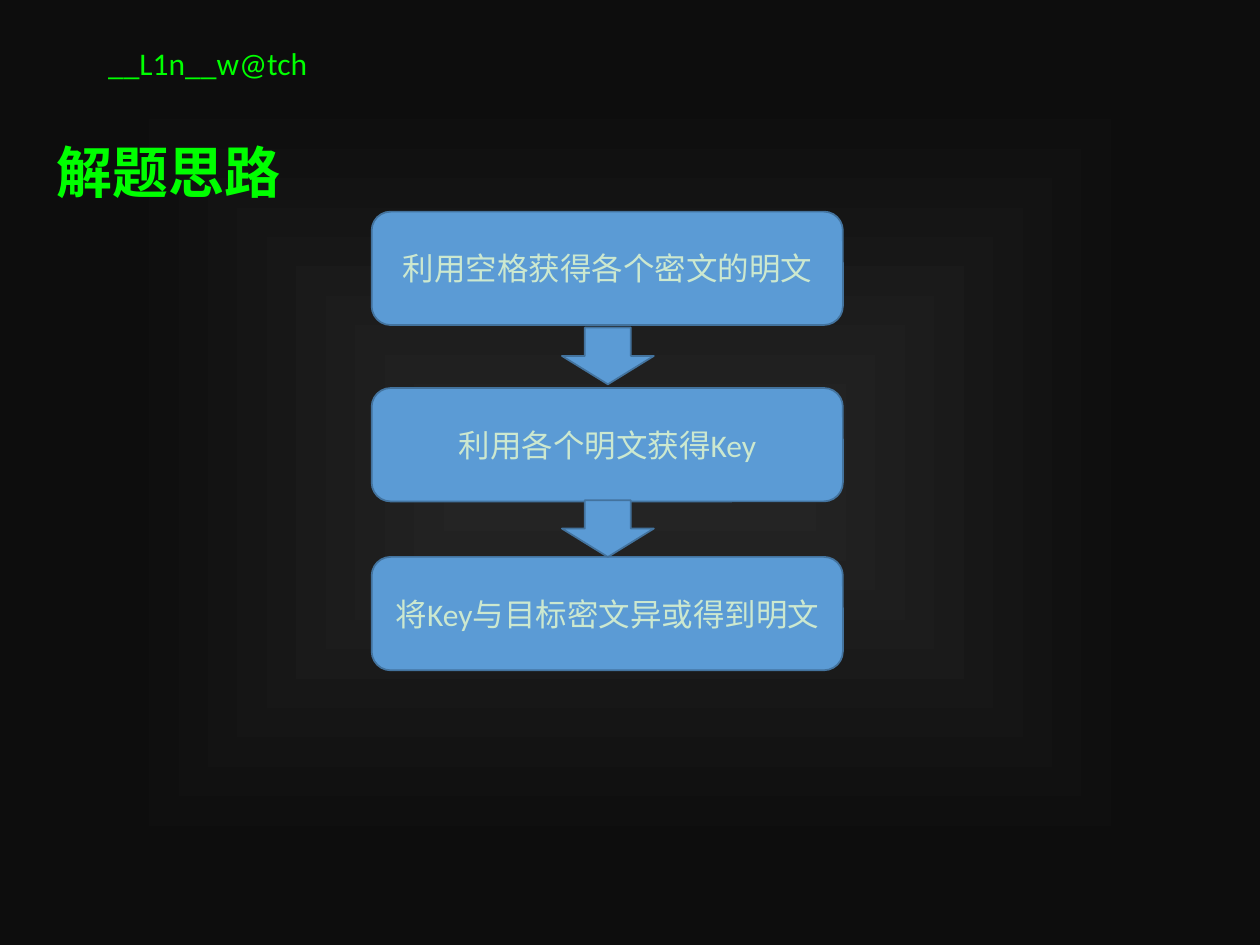
from dataclasses import dataclass

from lxml import etree
from pptx import Presentation, slide as s, util as u
from pptx.dml.color import RGBColor
from pptx.enum import shapes, text
from pptx.oxml.ns import qn

GREEN = RGBColor(0x00, 0xFF, 0x00)
MINT = RGBColor(0xCC, 0xE8, 0xCF)
BLUE = RGBColor(0x5B, 0x9B, 0xD5)
EDGE = RGBColor(0x43, 0x73, 0x9E)
CHARCOAL = RGBColor(0x26, 0x26, 0x26)
NEAR_BLACK = RGBColor(0x0D, 0x0D, 0x0D)

CELL = 0.1  # inches; the slide is 100 columns by 75 rows
COLUMNS, ROWS = 100, 75


def cells(count):
    return u.Inches(round(count * CELL, 2))


@dataclass
class Board:
    """Holds the flow-chart style and the slide being drawn."""
    page: s.Slide
    body_font: str = "Calibri"
    title_font: str = "Arial"
    body_size: int = 18
    title_size: int = 32

    def backdrop(self, centre, rim, rim_at):
        """Fill the background with a gradient spreading from the centre."""
        fill = self.page.background.fill
        fill.gradient()
        for stop, color, position in zip(fill.gradient_stops, (centre, rim), (0, rim_at)):
            stop.color.rgb = color
            stop.position = position
        gradient = self.page.element.find(".//" + qn("a:gradFill"))
        gradient.remove(gradient.find(qn("a:lin")))
        spread = etree.Element(qn("a:path"), {"path": "shape"})
        etree.SubElement(spread, qn("a:fillToRect"),
                         {side: "50000" for side in "ltrb"})
        gradient.find(qn("a:gsLst")).addnext(spread)

    def add_words(self, para, words, font, size, color, bold=False):
        span = para.add_run()
        span.text = words
        span.font.name = font
        span.font.size = u.Pt(size)
        span.font.bold = bold
        span.font.color.rgb = color

    def label(self, words, area, font, size, bold=False):
        box = self.page.shapes.add_textbox(*map(cells, area))
        frame = box.text_frame
        frame.word_wrap = False
        frame.auto_size = text.MSO_AUTO_SIZE.SHAPE_TO_FIT_TEXT
        self.add_words(frame.paragraphs[0], words, font, size, GREEN, bold)

    def block(self, kind, area):
        shape = self.page.shapes.add_shape(kind, *map(cells, area))
        shape.shadow.inherit = False
        shape.fill.solid()
        shape.fill.fore_color.rgb = BLUE
        shape.line.color.rgb = EDGE
        shape.line.width = u.Pt(1)
        return shape

    def step(self, words, area):
        frame = self.block(shapes.MSO_SHAPE.ROUNDED_RECTANGLE, area).text_frame
        frame.word_wrap = True
        frame.vertical_anchor = text.MSO_ANCHOR.MIDDLE
        para = frame.paragraphs[0]
        para.alignment = text.PP_ALIGN.CENTER
        self.add_words(para, words, self.body_font, self.body_size, MINT)

    def arrow(self, area):
        self.block(shapes.MSO_SHAPE.DOWN_ARROW, area)


def main():
    deck = Presentation()
    deck.slide_width, deck.slide_height = cells(COLUMNS), cells(ROWS)
    board = Board(deck.slides.add_slide(deck.slide_layouts[6]))
    board.backdrop(CHARCOAL, NEAR_BLACK, 0.81)

    board.label("__L1n__w@tch", (7.6, 3, 18, 4), board.body_font, board.body_size)
    board.label("解题思路", (3.5, 10.4, 20, 6.4), board.title_font, board.title_size, bold=True)

    step_left, step_width, step_height = 29.5, 37.4, 9
    arrow_width, arrow_height = 7.3, 4.5
    steps = [
        ("利用空格获得各个密文的明文", 16.8),
        ("利用各个明文获得Key", 30.8),
        ("将Key与目标密文异或得到明文", 44.2),
    ]
    for words, top in steps:
        board.step(words, (step_left, top, step_width, step_height))
    arrow_left = step_left + (step_width - arrow_width) / 2
    for top in (26, 39.7):
        board.arrow((arrow_left, top, arrow_width, arrow_height))

    deck.save("out.pptx")


if __name__ == "__main__":
    main()
